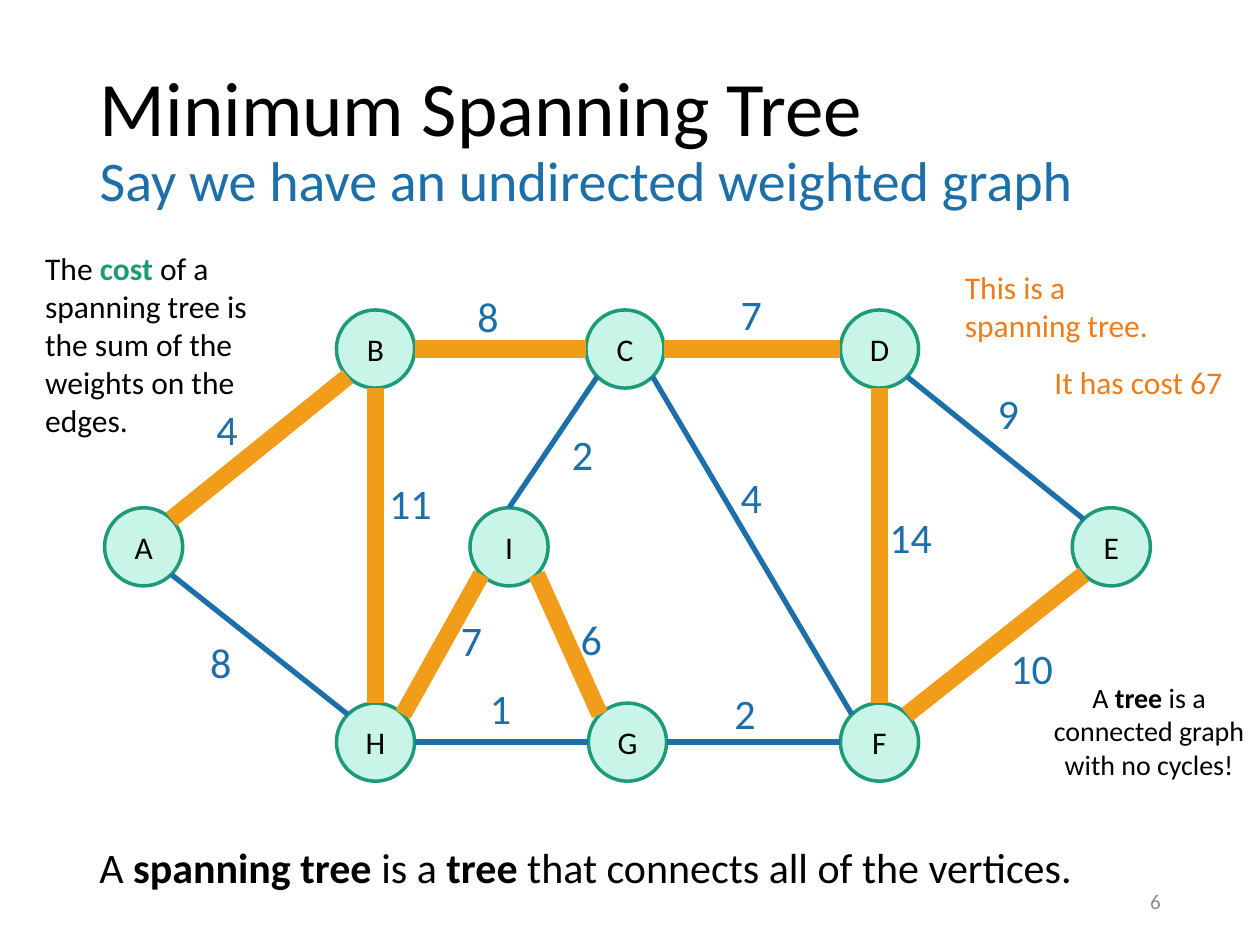
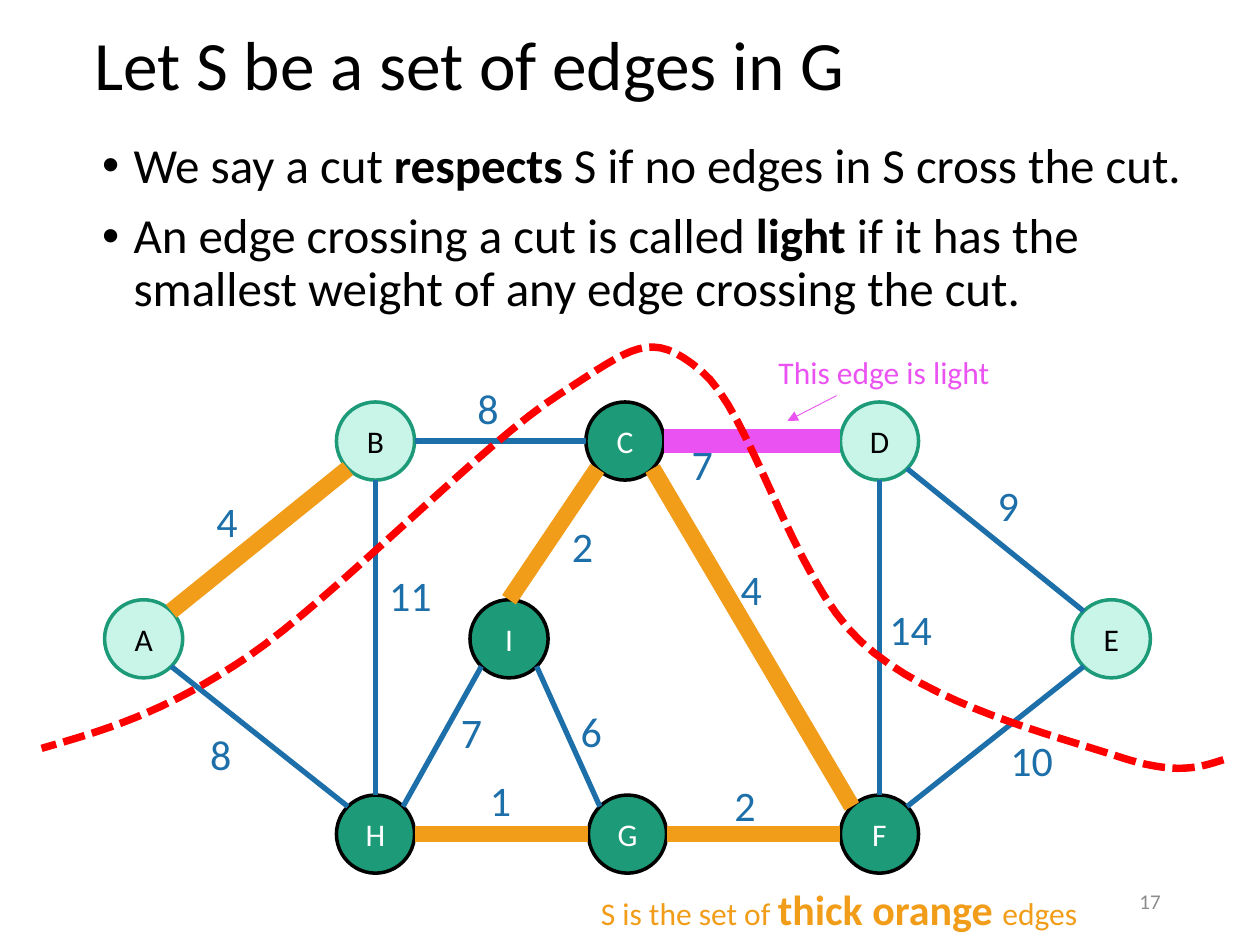
from dataclasses import dataclass

from lxml.etree import SubElement
from pptx import Presentation
from pptx.dml.color import RGBColor
from pptx.enum.dml import MSO_LINE
from pptx.enum.shapes import MSO_CONNECTOR as Connector, MSO_SHAPE as Preset
from pptx.enum.text import MSO_ANCHOR as Anchor, MSO_AUTO_SIZE as AutoSize, PP_ALIGN as Align
from pptx.oxml.ns import qn
from pptx.util import Inches, Pt

FONT = "Calibri"
BLACK, WHITE, GREY = "000000", "FFFFFF", "8C8C8C"
BLUE, GREEN, MINT = "1D6FA9", "1D9A78", "C8F5E8"
AMBER, ORANGE, PINK, RED = "F19D19", "F07B1A", "EA53F1", "FF0000"
NODE_SIZE = 0.62
RADIUS = NODE_SIZE / 2
DIAGONAL = RADIUS * 0.5 ** 0.5
SIDES = {
    "N": (0, -RADIUS), "S": (0, RADIUS), "W": (-RADIUS, 0), "E": (RADIUS, 0),
    "NW": (-DIAGONAL, -DIAGONAL), "NE": (DIAGONAL, -DIAGONAL),
    "SW": (-DIAGONAL, DIAGONAL), "SE": (DIAGONAL, DIAGONAL),
}
TOP_ROW, MIDDLE_ROW, BOTTOM_ROW = 2.77, 4.34, 5.89
NODES = {
    "D": (6.98, TOP_ROW), "C": (4.96, TOP_ROW), "B": (2.98, TOP_ROW),
    "A": (1.14, MIDDLE_ROW), "H": (2.98, BOTTOM_ROW), "G": (4.98, BOTTOM_ROW),
    "F": (6.98, BOTTOM_ROW), "I": (4.04, MIDDLE_ROW), "E": (8.82, MIDDLE_ROW),
}


@dataclass(frozen=True)
class Run:
    text: str
    size: float = 18
    color: str = BLACK
    bold: bool = False


@dataclass(frozen=True)
class Edge:
    ends: str
    sides: tuple[str, str]
    weight: int
    label: tuple[float, float]


@dataclass(frozen=True)
class LineStyle:
    color: str
    width: float


@dataclass(frozen=True)
class NodeStyle:
    fill: str
    line: str
    text: str


@dataclass(frozen=True)
class Note:
    box: tuple[float, float, float, float]
    runs: tuple[Run, ...]
    align: Align = Align.LEFT
    anchor: Anchor = Anchor.TOP


EDGES = (
    Edge("CF", ("SE", "NW"), 4, (5.78, 3.69)),
    Edge("CD", ("E", "W"), 7, (5.78, 2.24)),
    Edge("ED", ("NW", "SE"), 9, (7.82, 3.03)),
    Edge("EF", ("SW", "NE"), 10, (7.92, 5.05)),
    Edge("DF", ("S", "N"), 14, (6.96, 4.01)),
    Edge("IG", ("SE", "NW"), 6, (4.51, 4.82)),
    Edge("GF", ("E", "W"), 2, (5.73, 5.41)),
    Edge("IC", ("N", "SW"), 2, (4.44, 3.35)),
    Edge("BC", ("E", "W"), 8, (3.69, 2.26)),
    Edge("AB", ("NE", "SW"), 4, (1.62, 3.15)),
    Edge("AH", ("SE", "NW"), 8, (1.57, 5)),
    Edge("GH", ("W", "E"), 1, (3.79, 5.37)),
    Edge("IH", ("SW", "NE"), 7, (3.56, 4.83)),
    Edge("HB", ("N", "S"), 11, (2.99, 3.74)),
)
PLAIN_EDGE = LineStyle(BLUE, 3)
TREE_EDGE = LineStyle(AMBER, 9.75)
SET_EDGE = LineStyle(AMBER, 9.5)
LIGHT_EDGE = LineStyle(PINK, 14)
PLAIN_NODE = NodeStyle(MINT, GREEN, BLACK)
CUT_NODE = NodeStyle(GREEN, BLACK, WHITE)

SPANNING_TREE_NOTES = (
    Note((0.69, 6.63, 8.83, 0.5), (
        Run("A ", 24), Run("spanning tree ", 24, bold=True), Run("is a ", 24),
        Run("tree", 24, bold=True), Run(" that connects all of the vertices.", 24))),
    Note((8.14, 5.35, 1.96, 0.91), (
        Run("A ", 16), Run("tree ", 16, bold=True),
        Run("is a connected graph with no cycles!", 16)), Align.CENTER),
    Note((7.56, 2.08, 1.96, 0.71), (Run("This is a spanning tree.", color=ORANGE),)),
    Note((0.26, 1.93, 2.11, 1.62), (
        Run("The "), Run("cost ", color=GREEN, bold=True),
        Run("of a spanning tree is the sum of the weights on the edges."))),
    Note((8.27, 2.83, 1.67, 0.4), (Run("It has cost 67", color=ORANGE),)),
)
CUT_NOTES = (
    Note((4.67, 6.96, 4.42, 0.5), (
        Run("S is the set of ", color=AMBER), Run("thick orange ", 24, AMBER, True),
        Run("edges", color=AMBER))),
    Note((6.08, 2.75, 2.18, 0.4), (Run("This edge is light", color=PINK),)),
)
CUT_BULLETS = (
    (Run("We say a cut ", 28), Run("respects", 28, bold=True),
     Run(" S if no edges in S cross the cut.", 28)),
    (Run("An edge crossing a cut is called ", 28), Run("light ", 28, bold=True),
     Run("if it has the smallest weight of any edge crossing the cut.", 28)),
)
CUT_START = (9.71, 6.03)
CUT_CURVES = (
    ((9.52, 6.09), (9.34, 6.16), (8.86, 6)),
    ((8.38, 5.84), (7.38, 5.6), (6.83, 5.09)),
    ((6.28, 4.58), (5.96, 3.26), (5.56, 2.94)),
    ((5.16, 2.61), (5.03, 2.75), (4.44, 3.13)),
    ((3.84, 3.51), (2.66, 4.74), (1.97, 5.21)),
    ((1.29, 5.67), (0.81, 5.8), (0.33, 5.94)),
)
CURVE_STEPS = 16


def rgb(color: str) -> RGBColor:
    return RGBColor.from_string(color)


def set_all(target, **values) -> None:
    for name, value in values.items():
        setattr(target, name, value)


def write_runs(paragraph, runs) -> None:
    for index, item in enumerate(runs):
        run = paragraph.add_run()
        run.text = item.text
        set_all(run.font, name=FONT, size=Pt(item.size), bold=item.bold)
        run.font.color.rgb = rgb(item.color)


def place(shape, box) -> None:
    left, top, width, height = map(Inches, box)
    set_all(shape, left=left, top=top, width=width, height=height)


def add_note(slide, note: Note) -> None:
    frame = slide.shapes.add_textbox(*map(Inches, note.box)).text_frame
    set_all(frame, word_wrap=True, vertical_anchor=note.anchor)
    paragraph = frame.paragraphs[0]
    paragraph.alignment = note.align
    write_runs(paragraph, note.runs)


def add_page_number(slide, number: int) -> None:
    box = (7.06, 6.95, 2.25, 0.4)
    add_note(slide, Note(box, (Run(str(number), 12, GREY),), Align.RIGHT, Anchor.MIDDLE))


def set_title(slide, box, lines) -> None:
    title = slide.shapes.title
    place(title, box)
    set_all(title.text_frame, vertical_anchor=Anchor.MIDDLE, auto_size=AutoSize.NONE)
    paragraph = title.text_frame.paragraphs[0]
    set_all(paragraph, alignment=Align.LEFT, line_spacing=0.9)
    for index, line in enumerate(lines):
        if index:
            paragraph.add_line_break()
        write_runs(paragraph, (line,))


def set_bullets(body, box, bullets) -> None:
    place(body, box)
    frame = body.text_frame
    frame.auto_size = AutoSize.NONE
    for index, runs in enumerate(bullets):
        paragraph = frame.add_paragraph() if index else frame.paragraphs[0]
        properties = paragraph._p.get_or_add_pPr()
        properties.set("marL", str(Inches(0.25)))
        properties.set("indent", str(-Inches(0.25)))
        SubElement(properties, qn("a:buFont")).set("typeface", "Arial")
        SubElement(properties, qn("a:buChar")).set("char", "•")
        set_all(paragraph, line_spacing=0.9, space_before=Pt(10 if index else 0))
        write_runs(paragraph, runs)


def add_line(slide, start, end, style: LineStyle):
    points = map(Inches, (*start, *end))
    connector = slide.shapes.add_connector(Connector.STRAIGHT, *points)
    connector.line.color.rgb = rgb(style.color)
    connector.line.width = Pt(style.width)
    SubElement(connector._element.spPr, qn("a:effectLst"))
    return connector


def add_arrow(slide, start, end, style: LineStyle) -> None:
    line = add_line(slide, start, end, style).line
    SubElement(line._get_or_add_ln(), qn("a:tailEnd")).set("type", "triangle")


def add_node(slide, name: str, center, style: NodeStyle) -> None:
    x, y = center
    box = (x - RADIUS, y - RADIUS, NODE_SIZE, NODE_SIZE)
    node = slide.shapes.add_shape(Preset.OVAL, *map(Inches, box))
    node.shadow.inherit = False
    node.fill.solid()
    node.fill.fore_color.rgb = rgb(style.fill)
    node.line.color.rgb = rgb(style.line)
    node.line.width = Pt(2)
    set_all(node.text_frame, vertical_anchor=Anchor.MIDDLE, margin_left=0, margin_right=0)
    paragraph = node.text_frame.paragraphs[0]
    paragraph.alignment = Align.CENTER
    write_runs(paragraph, (Run(name, color=style.text),))


def add_graph(slide, drop: float, edge_styles: dict[str, LineStyle],
              cut_nodes: str = "", moved_labels: dict | None = None) -> None:
    for name, (x, y) in NODES.items():
        add_node(slide, name, (x, y + drop), CUT_NODE if name in cut_nodes else PLAIN_NODE)
    for edge in EDGES:
        start, end = (
            (NODES[name][0] + SIDES[side][0], NODES[name][1] + SIDES[side][1] + drop)
            for name, side in zip(edge.ends, edge.sides))
        add_line(slide, start, end, edge_styles.get(edge.ends, PLAIN_EDGE))
    for edge in EDGES:
        left, top = (moved_labels or {}).get(edge.ends, edge.label)
        add_note(slide, Note((left, top + drop, 0.86, 0.5), (Run(str(edge.weight), 24, BLUE),)))


def curve_points():
    start = CUT_START
    for curve in CUT_CURVES:
        corners = (start, *curve)
        for step in range(1, CURVE_STEPS + 1):
            t = step / CURVE_STEPS
            weights = ((1 - t) ** 3, 3 * t * (1 - t) ** 2, 3 * t ** 2 * (1 - t), t ** 3)
            yield tuple(
                Inches(sum(weight * corner[axis] for weight, corner in zip(weights, corners)))
                for axis in (0, 1))
        start = curve[-1]


def add_cut(slide) -> None:
    builder = slide.shapes.build_freeform(*map(Inches, CUT_START))
    builder.add_line_segments(list(curve_points()), close=False)
    cut = builder.convert_to_shape()
    cut.shadow.inherit = False
    cut.fill.background()
    cut.line.color.rgb = rgb(RED)
    set_all(cut.line, width=Pt(4.25), dash_style=MSO_LINE.SQUARE_DOT)


def build_spanning_tree(presentation) -> None:
    slide = presentation.slides.add_slide(presentation.slide_layouts[5])
    set_title(slide, (0.69, 0.4, 8.62, 1.45), (
        Run("Minimum Spanning Tree", 44),
        Run("Say we have an undirected weighted graph", 32, BLUE)))
    tree = ("CD", "EF", "DF", "IG", "BC", "AB", "IH", "HB")
    add_graph(slide, 0, dict.fromkeys(tree, TREE_EDGE))
    for note in SPANNING_TREE_NOTES:
        add_note(slide, note)
    add_page_number(slide, 6)


def build_cut(presentation) -> None:
    slide = presentation.slides.add_slide(presentation.slide_layouts[1])
    set_title(slide, (0.65, 0.17, 8.62, 0.74), (Run("Let S be a set of edges in G", 39.6),))
    set_bullets(slide.placeholders[1], (0.71, 1.07, 9, 1.56), CUT_BULLETS)
    edge_set = dict.fromkeys(("CF", "GF", "IC", "AB", "GH"), SET_EDGE)
    add_graph(slide, 0.73, edge_set | {"CD": LIGHT_EDGE}, "CHGFI", {"CD": (5.39, 2.7)})
    add_cut(slide)
    for note in CUT_NOTES:
        add_note(slide, note)
    add_arrow(slide, (6.64, 3.14), (6.25, 3.34), LineStyle(PINK, 0.5))
    add_page_number(slide, 17)


def main() -> None:
    presentation = Presentation()
    set_all(presentation, slide_width=Inches(10), slide_height=Inches(7.5))
    build_spanning_tree(presentation)
    build_cut(presentation)
    presentation.save("out.pptx")


if __name__ == "__main__":
    main()
